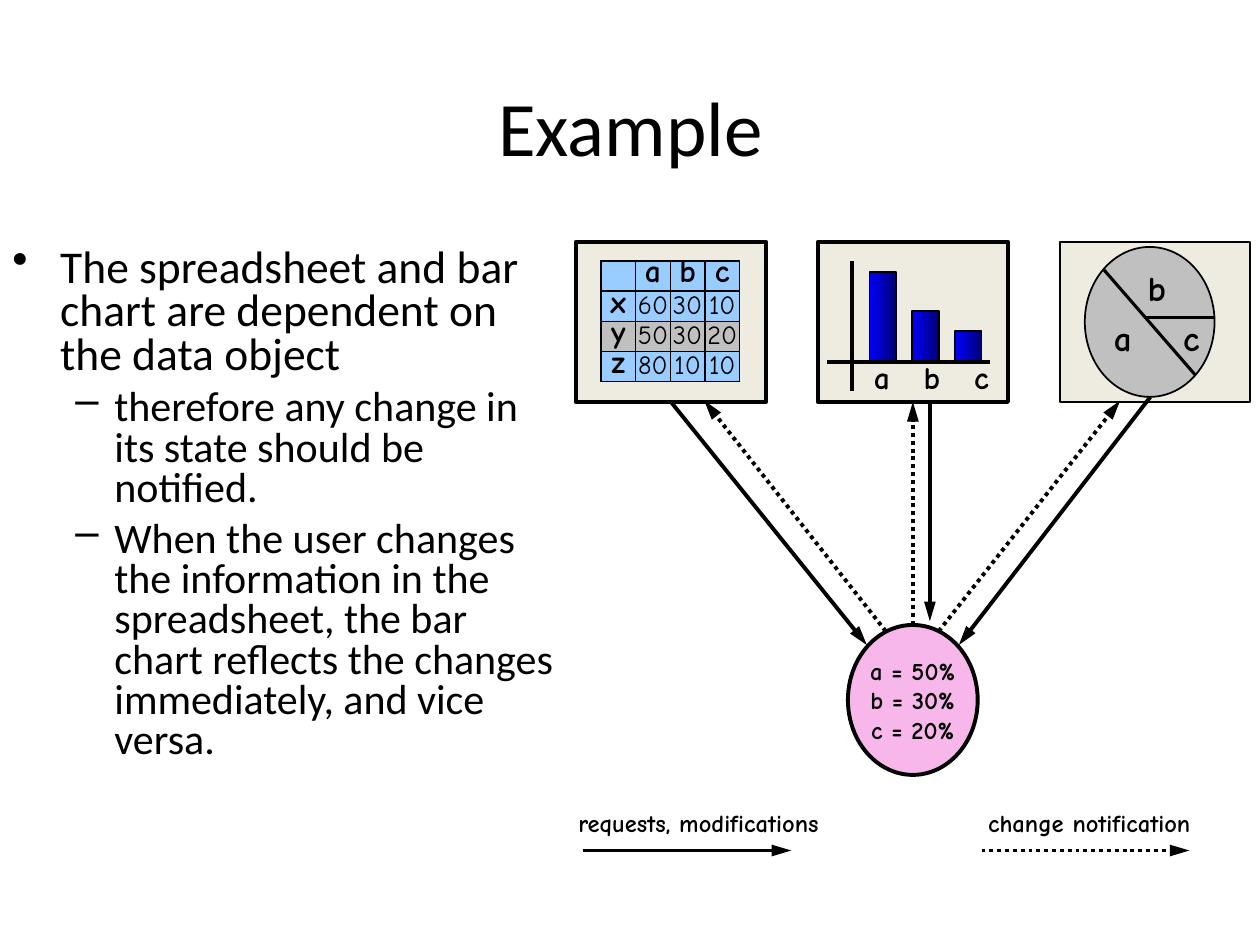
from typing import NamedTuple, Optional

from lxml.etree import SubElement
from pptx import Presentation
from pptx.dml.color import RGBColor
from pptx.enum.dml import MSO_LINE_DASH_STYLE as Dash
from pptx.enum.shapes import MSO_CONNECTOR, MSO_SHAPE
from pptx.enum.text import MSO_ANCHOR, PP_ALIGN
from pptx.oxml.ns import qn
from pptx.util import Inches, Pt

BLACK = RGBColor(0x00, 0x00, 0x00)
PANEL = RGBColor(0xEE, 0xEC, 0xE1)
CELL_BLUE = RGBColor(0x99, 0xCC, 0xFF)
GRAY = RGBColor(0xC0, 0xC0, 0xC0)
PINK = RGBColor(0xF7, 0xB7, 0xEB)
BAR_LIGHT = RGBColor(0x00, 0x00, 0xFF)
BAR_DARK = RGBColor(0x00, 0x00, 0x76)
BODY_FONT = "Calibri"
SKETCH_FONT = "Comic Neue"
PANEL_TOP, PANEL_WIDTH, PANEL_HEIGHT = 1.92, 1.51, 1.27
ROUND_WIDTH, ROUND_HEIGHT = 1.03, 1.19
BASELINE = 2.87
HEADER_SIZE, NUMBER_SIZE = 18, 15


class Line(NamedTuple):
    x1: float
    y1: float
    x2: float
    y2: float
    width: float = 2.25
    arrow: bool = False
    dotted: bool = False


class Label(NamedTuple):
    text: str
    left: float
    top: float
    width: float
    height: float
    size: float


class Bullet(NamedTuple):
    text: str
    level: int
    mark: str
    margin: float
    hang: float
    size: float
    space_before: float


ROWS = [
    ["", "a", "b", "c"],
    ["x", "60", "30", "10"],
    ["y", "50", "30", "20"],
    ["z", "80", "10", "10"],
]
BAR_HEIGHTS = [0.71, 0.40, 0.24]
DRAWING_LINES = [
    Line(6.76, 2.07, 6.76, 3.1),
    Line(7.86, BASELINE, 6.56, BASELINE),
    Line(8.76, 2.14, 9.49, 2.98, width=1.75),
    Line(9.09, 2.52, 9.64, 2.52),
]
ARROWS = [
    Line(9.13, 3.15, 7.61, 5.12, arrow=True),
    Line(7.03, 5.01, 5.59, 3.18, arrow=True, dotted=True),
    Line(7.45, 5.01, 8.89, 3.18, arrow=True, dotted=True),
    Line(7.38, 3.18, 7.38, 4.93, arrow=True),
    Line(4.63, 6.75, 6.28, 6.75, arrow=True),
    Line(7.79, 6.75, 9.44, 6.75, arrow=True, dotted=True),
]
LABELS = [
    Label("a", 8.74, 2.46, 0.34, 0.44, 20),
    Label("b", 9.01, 2.06, 0.34, 0.44, 20),
    Label("c", 9.29, 2.46, 0.33, 0.44, 20),
    Label("change notification", 7.74, 6.36, 1.81, 0.34, 14),
    Label("requests, modifications", 4.49, 6.36, 2.11, 0.34, 14),
]
LABELS += [Label(name, 6.83 + 0.395 * i, 2.79, 0.34, 0.4, 18) for i, name in enumerate("abc")]
BULLETS = [
    Bullet("The spreadsheet and bar chart are dependent on the data object",
           0, "•", 0.38, 0.38, 26, 0),
    Bullet("therefore any change in its state should be notified.",
           1, "–", 0.81, 0.31, 24, 6),
    Bullet("When the user changes the information in the spreadsheet, the bar chart "
           "reflects the changes immediately, and vice versa.",
           1, "–", 0.81, 0.31, 24, 6),
]


def format_runs(paragraph, font_name: str, size: float, bold: bool = False) -> None:
    for run in paragraph.runs:
        run.font.name, run.font.size, run.font.bold = font_name, Pt(size), bold
        run.font.color.rgb = BLACK


def center_text(text_frame, text: str, size: float) -> None:
    text_frame.text = text
    text_frame.word_wrap = False
    text_frame.vertical_anchor = MSO_ANCHOR.MIDDLE
    for paragraph in text_frame.paragraphs:
        paragraph.alignment = PP_ALIGN.CENTER
        format_runs(paragraph, SKETCH_FONT, size, bold=True)


def add_outlined(slide, kind, left: float, top: float, width: float, height: float,
                 fill: Optional[RGBColor], line_width: float):
    """Add a black-outlined shape; without a fill colour it gets the bar gradient."""
    shape = slide.shapes.add_shape(kind, Inches(left), Inches(top), Inches(width), Inches(height))
    shape.shadow.inherit = False
    shape.line.color.rgb, shape.line.width = BLACK, Pt(line_width)
    if fill is not None:
        shape.fill.solid()
        shape.fill.fore_color.rgb = fill
    else:
        shape.fill.gradient()
        shape.fill.gradient_angle = 0
        for stop, color in zip(shape.fill.gradient_stops, (BAR_LIGHT, BAR_DARK)):
            stop.color.rgb = color
    return shape


def add_line(slide, line: Line):
    ends = [Inches(value) for value in line[:4]]
    connector = slide.shapes.add_connector(MSO_CONNECTOR.STRAIGHT, *ends)
    connector.line.color.rgb, connector.line.width = BLACK, Pt(line.width)
    if line.dotted:
        connector.line.dash_style = Dash.ROUND_DOT
    if line.arrow:
        SubElement(connector.line._get_or_add_ln(), qn("a:tailEnd"), type="triangle", len="lg")
    SubElement(connector._element.spPr, qn("a:effectLst"))
    return connector


def add_label(slide, label: Label) -> None:
    box = slide.shapes.add_textbox(*[Inches(value) for value in label[1:5]])
    center_text(box.text_frame, label.text, label.size)


def add_borders(cell) -> None:
    properties = cell._tc.get_or_add_tcPr()
    for index, side in enumerate(("lnL", "lnR", "lnT", "lnB")):
        border = SubElement(properties, qn(f"a:{side}"), w=str(Pt(1)))
        fill = SubElement(border, qn("a:solidFill"))
        SubElement(fill, qn("a:srgbClr"), val=str(BLACK))
        properties.remove(border)
        properties.insert(index, border)


def add_spreadsheet(slide) -> None:
    table = slide.shapes.add_table(len(ROWS), len(ROWS[0]), Inches(4.77), Inches(2.07),
                                   Inches(1.1), Inches(0.96)).table
    for r, row in enumerate(ROWS):
        for c, text in enumerate(row):
            cell = table.cell(r, c)
            cell.margin_left = cell.margin_right = cell.margin_top = cell.margin_bottom = 0
            cell.vertical_anchor = MSO_ANCHOR.MIDDLE
            cell.fill.solid()
            cell.fill.fore_color.rgb = GRAY if row[0] == "y" else CELL_BLUE
            add_borders(cell)
            cell.text_frame.text = text
            paragraph = cell.text_frame.paragraphs[0]
            paragraph.alignment = PP_ALIGN.CENTER
            paragraph.line_spacing = Pt(17)
            header = r == 0 or c == 0
            format_runs(paragraph, SKETCH_FONT, HEADER_SIZE if header else NUMBER_SIZE, header)
            if not text:  # keeps the empty cell from stretching its row
                SubElement(paragraph._p, qn("a:endParaRPr"), sz="1000")


def add_bullets(slide) -> None:
    box = slide.shapes.add_textbox(Inches(0), Inches(1.92), Inches(4.5), Inches(4.67))
    frame = box.text_frame
    frame.word_wrap = True
    for index, bullet in enumerate(BULLETS):
        paragraph = frame.add_paragraph() if index else frame.paragraphs[0]
        paragraph.text = bullet.text
        paragraph.level = bullet.level
        properties = paragraph._p.get_or_add_pPr()
        properties.set("marL", str(Inches(bullet.margin)))
        properties.set("indent", str(-Inches(bullet.hang)))
        SubElement(properties, qn("a:buChar"), char=bullet.mark)
        paragraph.line_spacing = 0.8
        paragraph.space_before = Pt(bullet.space_before)
        format_runs(paragraph, BODY_FONT, bullet.size)


def main() -> None:
    presentation = Presentation()
    presentation.slide_width, presentation.slide_height = Inches(10), Inches(7.5)
    slide = presentation.slides.add_slide(presentation.slide_layouts[5])

    title = slide.shapes.title
    title.left, title.top = Inches(0.63), Inches(0.33)
    title.width, title.height = Inches(8.75), Inches(1.33)
    title.text_frame.text = "Example"
    title.text_frame.vertical_anchor = MSO_ANCHOR.MIDDLE
    title.text_frame.paragraphs[0].alignment = PP_ALIGN.CENTER
    format_runs(title.text_frame.paragraphs[0], BODY_FONT, 44)
    add_bullets(slide)

    sheet_panel, bar_panel, _ = [
        add_outlined(slide, MSO_SHAPE.RECTANGLE, left, PANEL_TOP, PANEL_WIDTH, PANEL_HEIGHT,
                     PANEL, line_width)
        for left, line_width in ((4.57, 2.25), (6.49, 2.25), (8.41, 1))]
    add_spreadsheet(slide)
    for index, height in enumerate(BAR_HEIGHTS):
        add_outlined(slide, MSO_SHAPE.RECTANGLE, 6.9 + 0.34 * index, BASELINE - height,
                     0.21, height, None, 1)
    add_outlined(slide, MSO_SHAPE.OVAL, 8.61, 1.96, ROUND_WIDTH, ROUND_HEIGHT, GRAY, 1)
    data = add_outlined(slide, MSO_SHAPE.OVAL, 6.73, 4.96, ROUND_WIDTH, ROUND_HEIGHT, PINK, 2.25)
    center_text(data.text_frame, "a = 50%\nb = 30%\nc = 20%", 14)

    for line in DRAWING_LINES + ARROWS:
        add_line(slide, line)
    request = add_line(slide, Line(5.32, 3.19, 6.88, 5.12, arrow=True))
    request.begin_connect(sheet_panel, 2)
    notification = add_line(slide, Line(7.25, 4.96, 7.25, 3.19, arrow=True, dotted=True))
    notification.begin_connect(data, 0)
    notification.end_connect(bar_panel, 2)
    for label in LABELS:
        add_label(slide, label)
    presentation.save("out.pptx")


if __name__ == "__main__":
    main()
